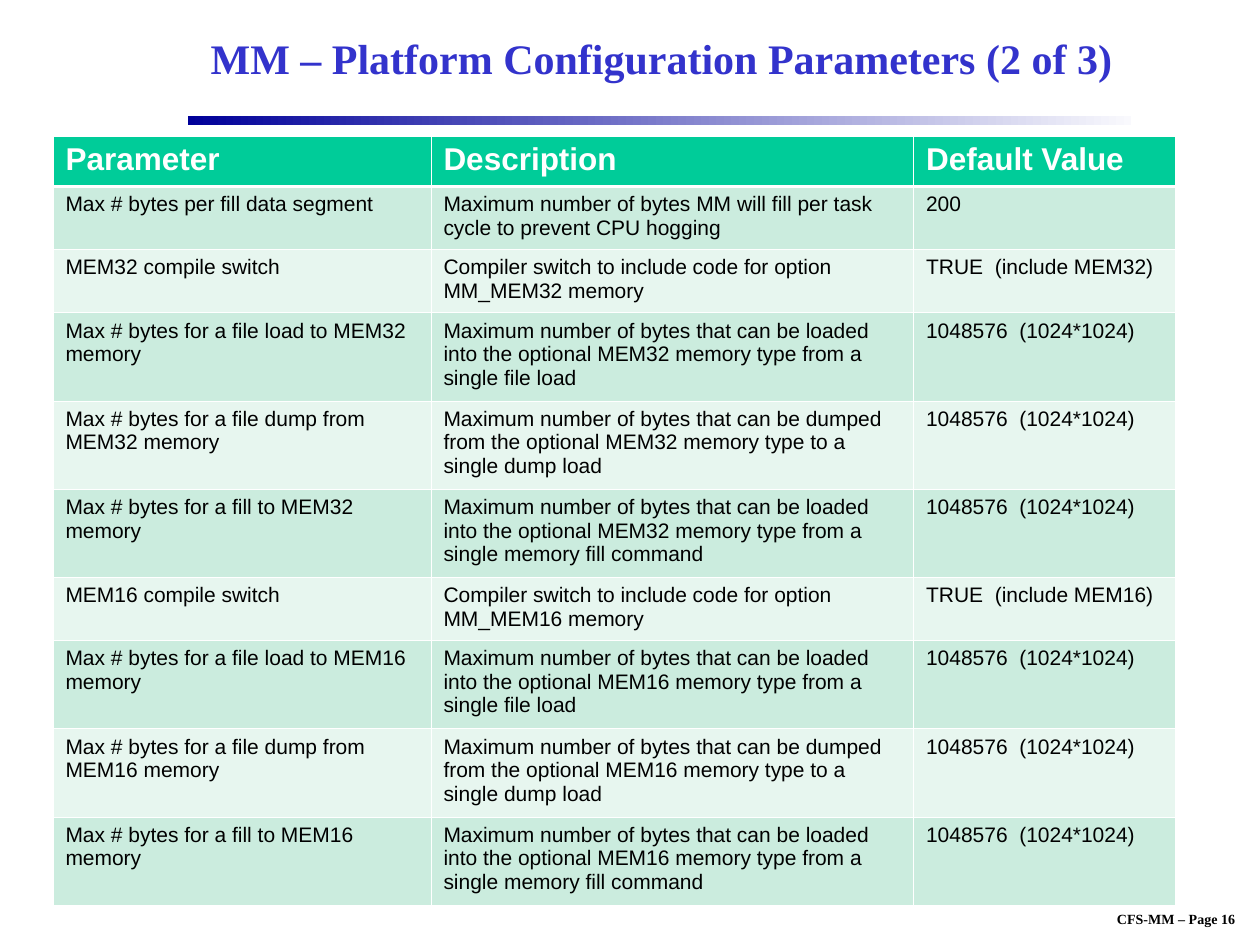
"""Build the MM platform configuration parameters slide."""
from lxml.etree import SubElement as Sub
from pptx import Presentation
from pptx.dml.color import RGBColor as RGB
from pptx.enum.shapes import MSO_SHAPE as Shape
from pptx.enum.text import MSO_ANCHOR as Anchor, MSO_AUTO_SIZE as Auto, PP_ALIGN as Align
from pptx.oxml.ns import qn
from pptx.util import Inches, Pt

HUES = {
    "title": "3333CC", "start": "000099", "end": "F9F9FD", "head": "00CC99",
    "odd": "CBECDE", "even": "E7F6EF", "white": "FFFFFF", "black": "000000",
}
SERIF, SANS = "Times New Roman", "Arial"


def write(frame, text, size, font, hue, bold, align=Align.LEFT):
    para = frame.paragraphs[0]
    para.alignment = align
    run = para.add_run()
    run.text = text
    run.font.size = Pt(size)
    run.font.name = font
    run.font.bold = bold
    run.font.color.rgb = RGB.from_string(HUES[hue])


def edge(cell, side, width):
    line = Sub(cell._tc.get_or_add_tcPr(), qn(f"a:ln{side}"), w=str(Pt(width)))
    fill = Sub(line, qn("a:solidFill"))
    Sub(fill, qn("a:srgbClr"), val=HUES["white"])


deck = Presentation()
deck.slide_width, deck.slide_height = Inches(10), Inches(7.5)
slide = deck.slides.add_slide(deck.slide_layouts[6])
shapes = slide.shapes

foot = shapes.add_textbox(Inches(8.57), Inches(7.18), Inches(1.53), Inches(0.23)).text_frame
foot.word_wrap = False
foot.auto_size = Auto.SHAPE_TO_FIT_TEXT
write(foot, "CFS-MM – Page 16", 8, SERIF, "black", True, Align.CENTER)

bar = shapes.add_shape(Shape.RECTANGLE, Inches(1.49), Inches(0.92), Inches(7.49), Inches(0.07))
bar.shadow.inherit = False
bar.line.fill.background()
bar.fill.gradient()
bar.fill.gradient_angle = 0
for stop, hue in zip(bar.fill.gradient_stops, ("start", "end")):
    stop.color.rgb = RGB.from_string(HUES[hue])

title = shapes.add_textbox(Inches(1.5), Inches(0.08), Inches(7.5), Inches(0.75)).text_frame
title.word_wrap = True
title.vertical_anchor = Anchor.MIDDLE
write(title, "MM – Platform Configuration Parameters (2 of 3)", 24, SERIF, "title", True, Align.CENTER)

rows = [
    (0.4, "Parameter", "Description", "Default Value"),
    (0.5, "Max # bytes per fill data segment",
     "Maximum number of bytes MM will fill per task cycle to prevent CPU hogging", "200"),
]
for mem in ("MEM32", "MEM16"):
    rows.append((0.5, f"{mem} compile switch",
                 f"Compiler switch to include code for option MM_{mem} memory",
                 f"TRUE  (include {mem})"))
    for task, verb, way, last in (
        ("file load to", "loaded", "into", "type from a single file load"),
        ("file dump from", "dumped", "from", "type to a single dump load"),
        ("fill to", "loaded", "into", "type from a single memory fill command"),
    ):
        rows.append((0.7, f"Max # bytes for a {task} {mem} memory",
                     f"Maximum number of bytes that can be {verb} {way} the optional {mem} memory {last}",
                     "1048576  (1024*1024)"))

widths = (3, 3.83, 2.08)
high = sum(row[0] for row in rows)
grid = shapes.add_table(len(rows), len(widths), Inches(0.42), Inches(1.08),
                        Inches(sum(widths)), Inches(high)).table
for col, width in zip(grid.columns, widths):
    col.width = Inches(width)
for r, (tall, *texts) in enumerate(rows):
    grid.rows[r].height = Inches(tall)
    tint = "head" if r == 0 else "odd" if r % 2 else "even"
    size, ink = (18, "white") if r == 0 else (12, "black")
    for c, text in enumerate(texts):
        cell = grid.cell(r, c)
        for side in "LRTB":
            thick = (r, side) in ((0, "B"), (1, "T"))
            edge(cell, side, 1.47 if thick else 0.45)
        cell.fill.solid()
        cell.fill.fore_color.rgb = RGB.from_string(HUES[tint])
        write(cell.text_frame, text, size, SANS, ink, r == 0)

deck.save("out.pptx")
